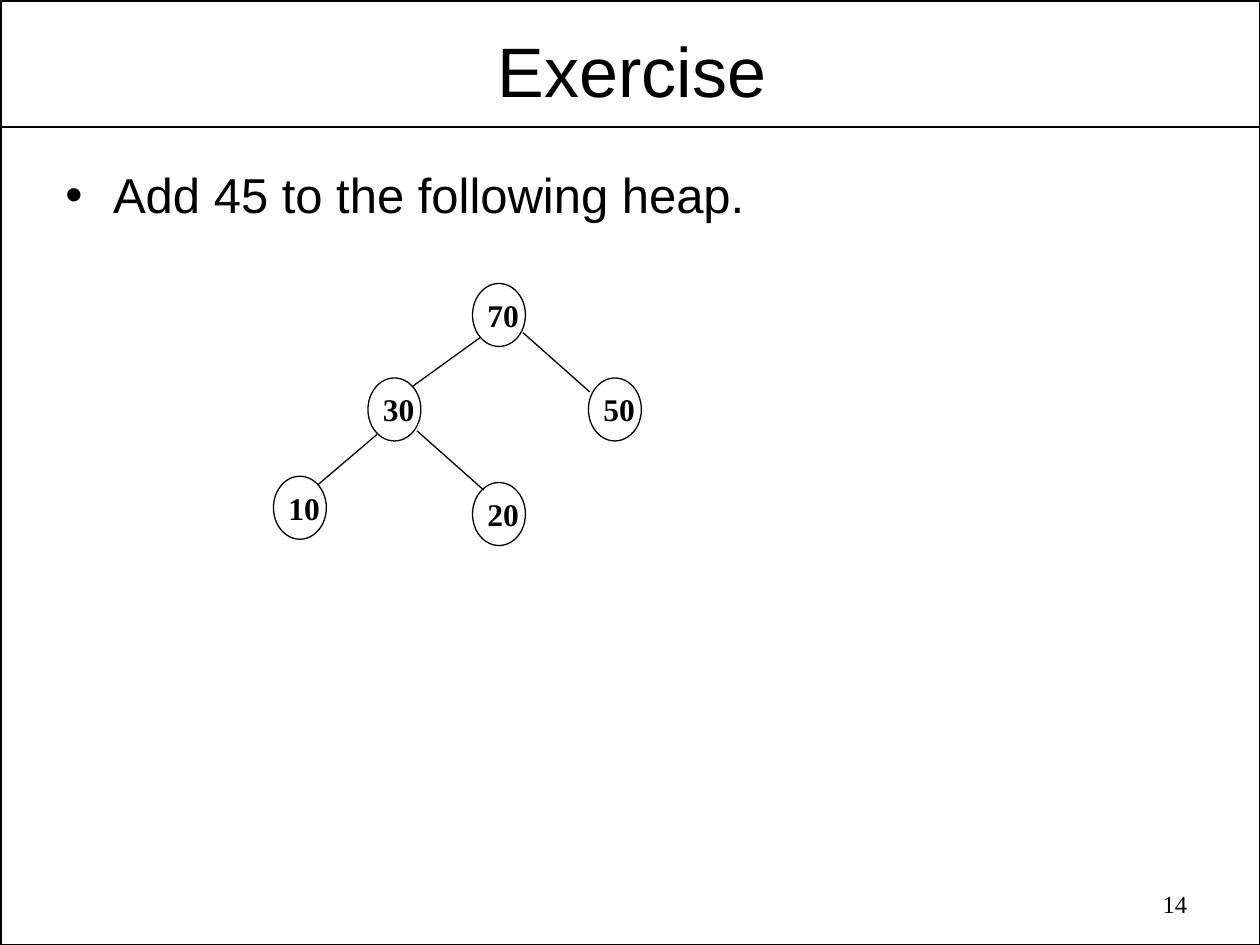
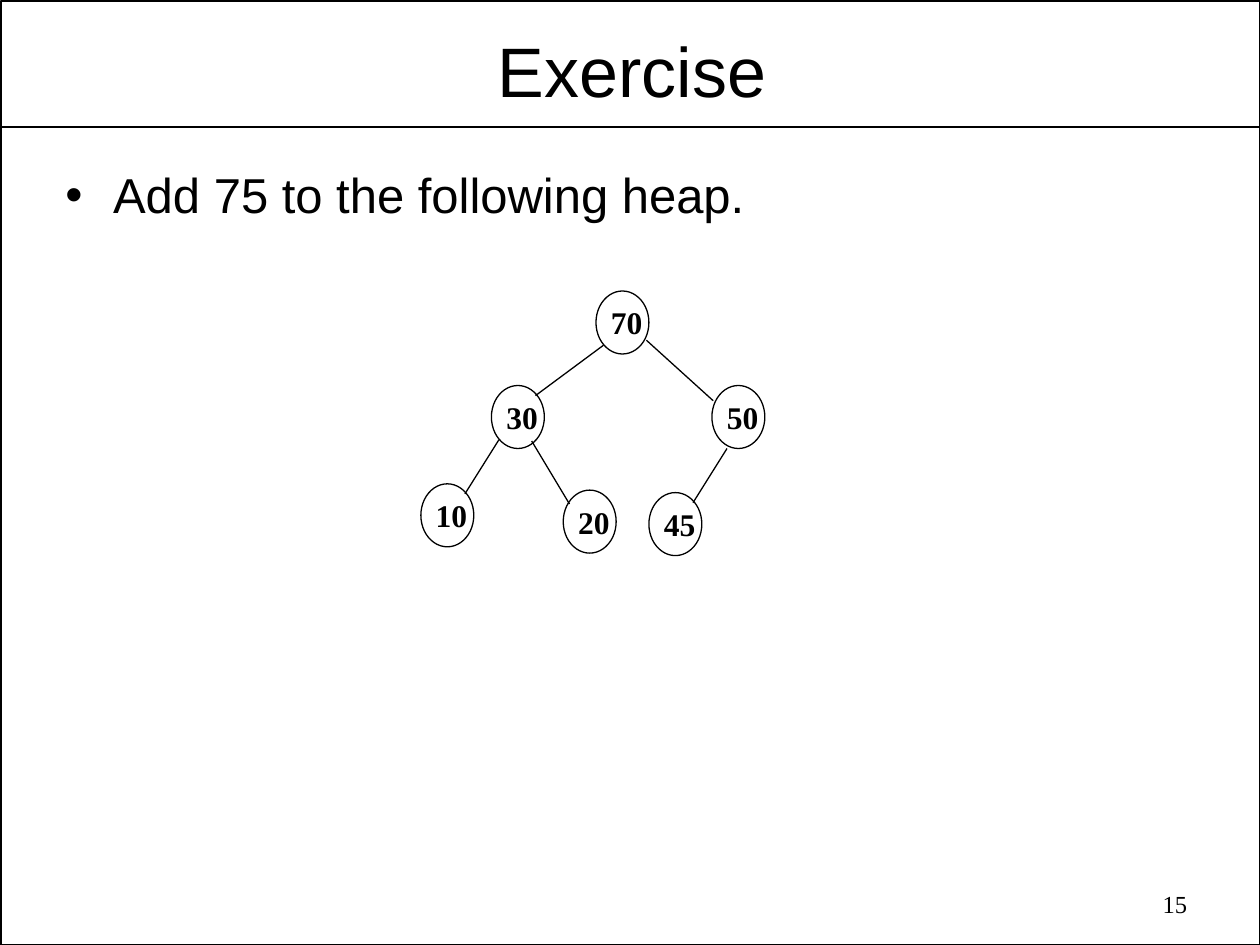
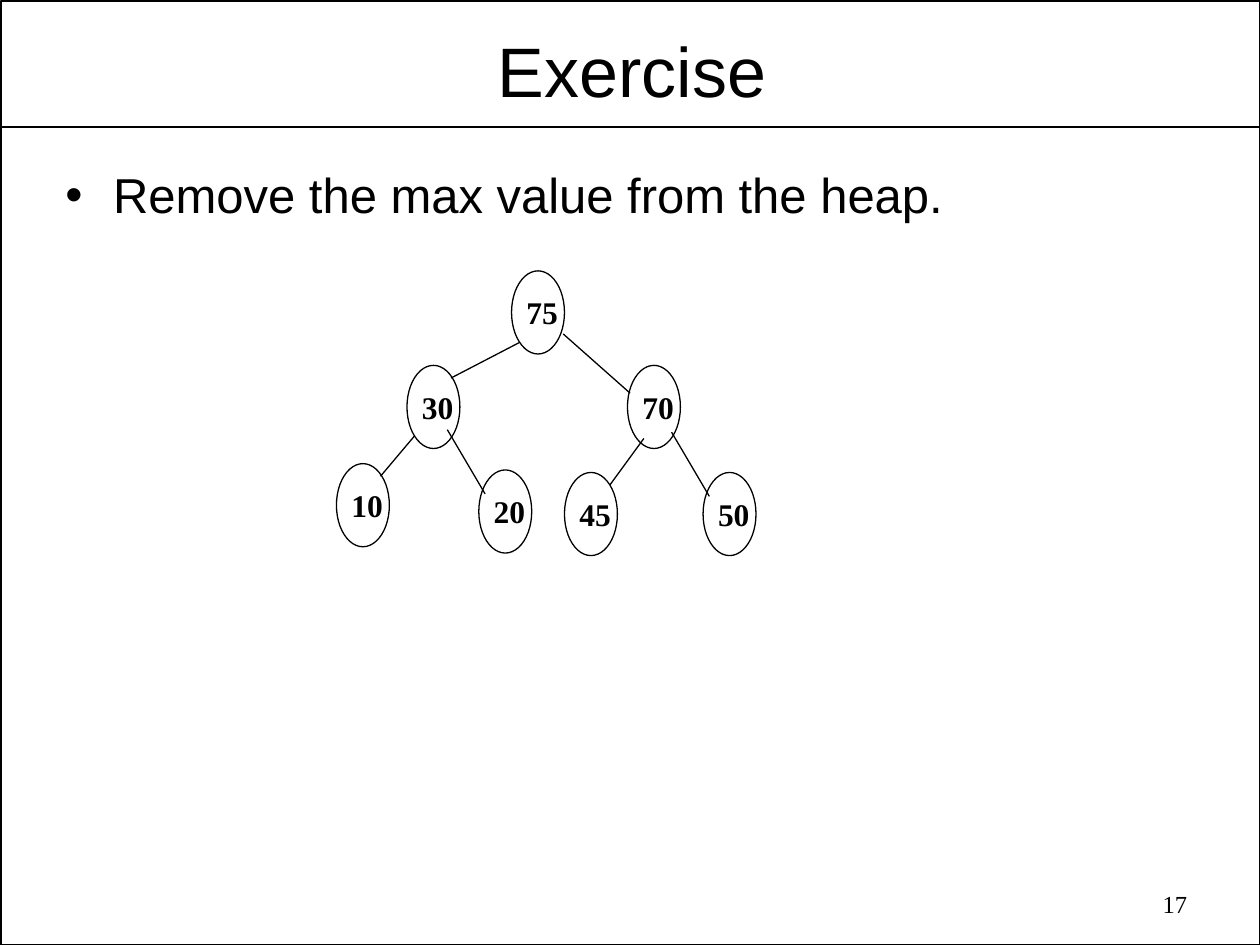
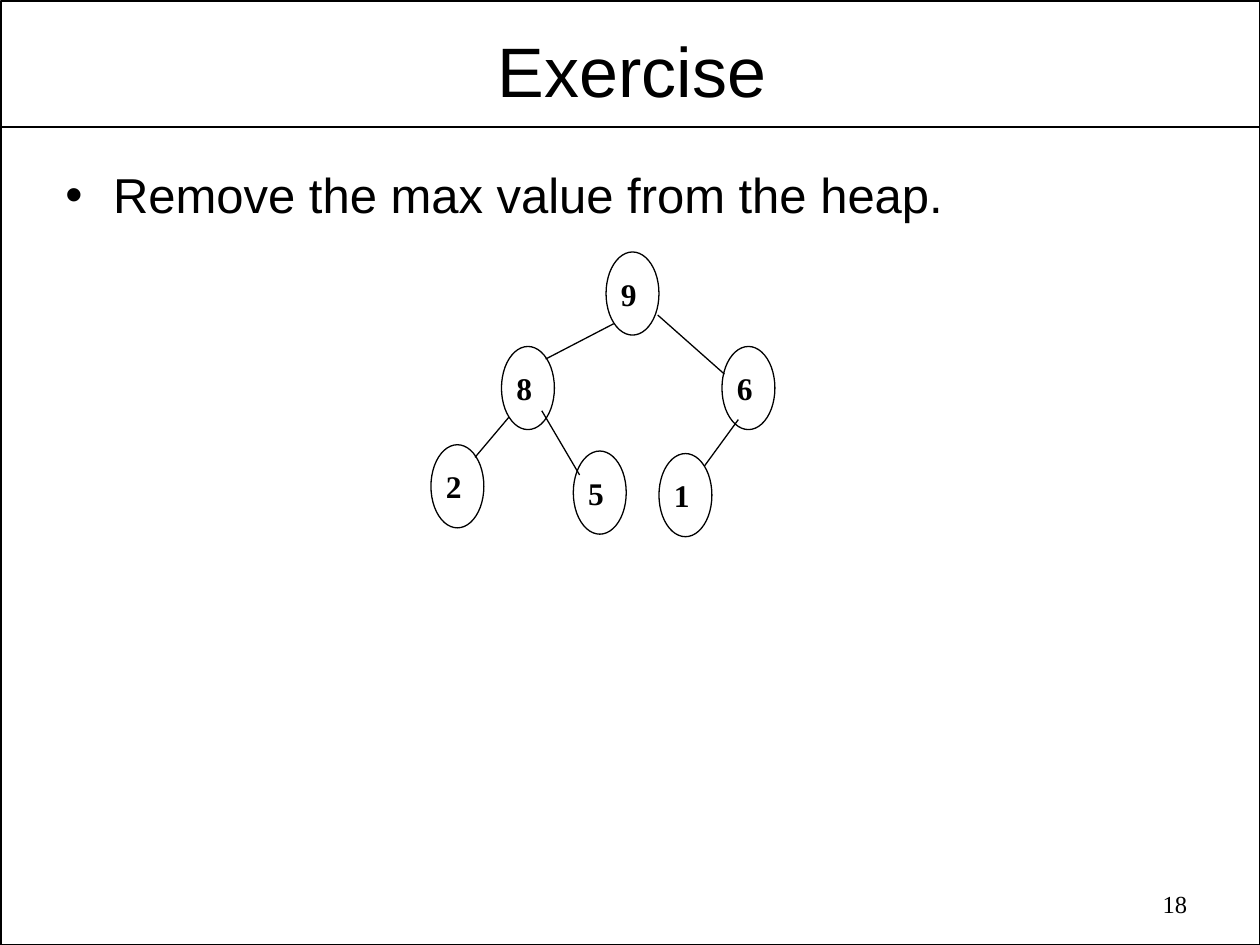
"""Heap exercise slides: insert into and remove from binary heaps."""
from lxml.etree import SubElement
from pptx import Presentation
from pptx.dml.color import RGBColor
from pptx.enum.shapes import MSO_CONNECTOR as Connector, MSO_SHAPE as Shape
from pptx.enum.text import MSO_ANCHOR as Anchor, MSO_AUTO_SIZE as AutoSize, PP_ALIGN as Align
from pptx.oxml.ns import qn
from pptx.util import Pt

SCALE = 9144
WIDTH, HEIGHT = 1000, 750
BLACK = RGBColor(0, 0, 0)
SANS, SERIF = "Arial", "Times New Roman"
NODE_WIDTH = 42

SPOTS = [(0, 0), (-83, 75), (92, 75), (-139, 153), (-26, 158), (42, 160), (152, 160)]
WIDE_SPOTS = SPOTS[:3] + [(-158, 153), (0, 158)]
WIDE_LINKS = [(6, 43, -48, 82), (93, 86, 40, 39), (-76, 120, -123, 160), (9, 164, -44, 117)]
ROUND_LINKS = [(6, 43, -48, 83), (93, 87, 40, 39), (-77, 118, -104, 161),
               (-21, 169, -51, 119), (104, 125, 77, 168)]
TALL_LINKS = [(6, 57, -48, 85), (94, 97, 41, 50), (-77, 131, -104, 163),
              (-21, 177, -51, 126), (105, 133, 78, 170), (157, 179, 127, 128)]

EXERCISES = [
    (14, "Add 45 to the following heap.", (375, 225), 50,
     [70, 30, 50, 10, 20], WIDE_SPOTS, WIDE_LINKS),
    (15, "Add 75 to the following heap.", (473, 231), 50,
     [70, 30, 50, 10, 20, 45], SPOTS, ROUND_LINKS),
    (17, "Remove the max value from the heap.", (406, 215), 66,
     [75, 30, 70, 10, 20, 45, 50], SPOTS, TALL_LINKS),
    (18, "Remove the max value from the heap.", (481, 200), 66,
     [9, 8, 6, 2, 5, 1], SPOTS, TALL_LINKS),
]


def px(*lengths):
    return [round(length * SCALE) for length in lengths]


class HeapDeck:
    def __init__(self):
        self.deck = Presentation()
        self.deck.slide_width, self.deck.slide_height = px(WIDTH, HEIGHT)
        self.page = None

    def start_page(self, number, task):
        self.page = self.deck.slides.add_slide(self.deck.slide_layouts[6])
        self.outline(self.page.shapes, Shape.RECTANGLE, (1, 1, 999, 749), 1)
        self.line(1, 101, 999, 101, 1)
        self.bullet(self.text(self.page.shapes, (42, 126, 917, 549), task, 28, SANS))
        title = self.text(self.page.shapes, (53, 19, 897, 72), "Exercise", 40, SANS,
                          align=Align.CENTER, insets=(7, 3))
        title.vertical_anchor = Anchor.MIDDLE
        self.text(self.page.shapes, (718, 701, 234, 36), str(number), 14, SERIF,
                  align=Align.RIGHT)

    def outline(self, shapes, kind, place, weight):
        shape = shapes.add_shape(kind, *px(*place))
        shape.shadow.inherit = False
        shape.fill.background()
        shape.line.color.rgb = BLACK
        shape.line.width = Pt(weight)

    def line(self, x1, y1, x2, y2, weight):
        line = self.page.shapes.add_connector(Connector.STRAIGHT, *px(x1, y1, x2, y2))
        line.line.color.rgb = BLACK
        line.line.width = Pt(weight)
        SubElement(line._element.spPr, qn("a:effectLst"))

    def text(self, shapes, place, words, size, font, bold=False, align=Align.LEFT,
             insets=(10, 5), wrap=True):
        frame = shapes.add_textbox(*px(*place)).text_frame
        frame.word_wrap = wrap
        frame.margin_left, frame.margin_top = px(*insets)
        frame.margin_right, frame.margin_bottom = px(*insets)
        para = frame.paragraphs[0]
        para.alignment = align
        span = para.add_run()
        span.text = words
        span.font.size = Pt(size)
        span.font.name = font
        span.font.bold = bold
        span.font.color.rgb = BLACK
        return frame

    def bullet(self, frame):
        properties = frame.paragraphs[0]._p.get_or_add_pPr()
        indent, = px(38)
        properties.set("marL", str(indent))
        properties.set("indent", str(-indent))
        colour = SubElement(properties, qn("a:buClr"))
        SubElement(colour, qn("a:srgbClr")).set("val", str(BLACK))
        SubElement(properties, qn("a:buFont")).set("typeface", SANS)
        SubElement(properties, qn("a:buChar")).set("char", "•")

    def node(self, x, y, height, value):
        group = self.page.shapes.add_group_shape()
        label = str(value)
        label_width = 19 + 13 * len(label)
        label_top = y + (height - 40) // 2
        frame = self.text(group.shapes, (x + 2, label_top, label_width, 40), label, 18,
                          SERIF, bold=True, wrap=False)
        frame.auto_size = AutoSize.SHAPE_TO_FIT_TEXT
        self.outline(group.shapes, Shape.OVAL, (x, y, NODE_WIDTH, height), 0.75)

    def heap(self, root, node_height, values, spots, links):
        left, top = root
        for value, (dx, dy) in zip(values, spots):
            self.node(left + dx, top + dy, node_height, value)
        for x1, y1, x2, y2 in links[:len(values) - 1]:
            self.line(left + x1, top + y1, left + x2, top + y2, 0.75)


def main():
    slides = HeapDeck()
    for number, task, *tree in EXERCISES:
        slides.start_page(number, task)
        slides.heap(*tree)
    slides.deck.save("out.pptx")


if __name__ == "__main__":
    main()
